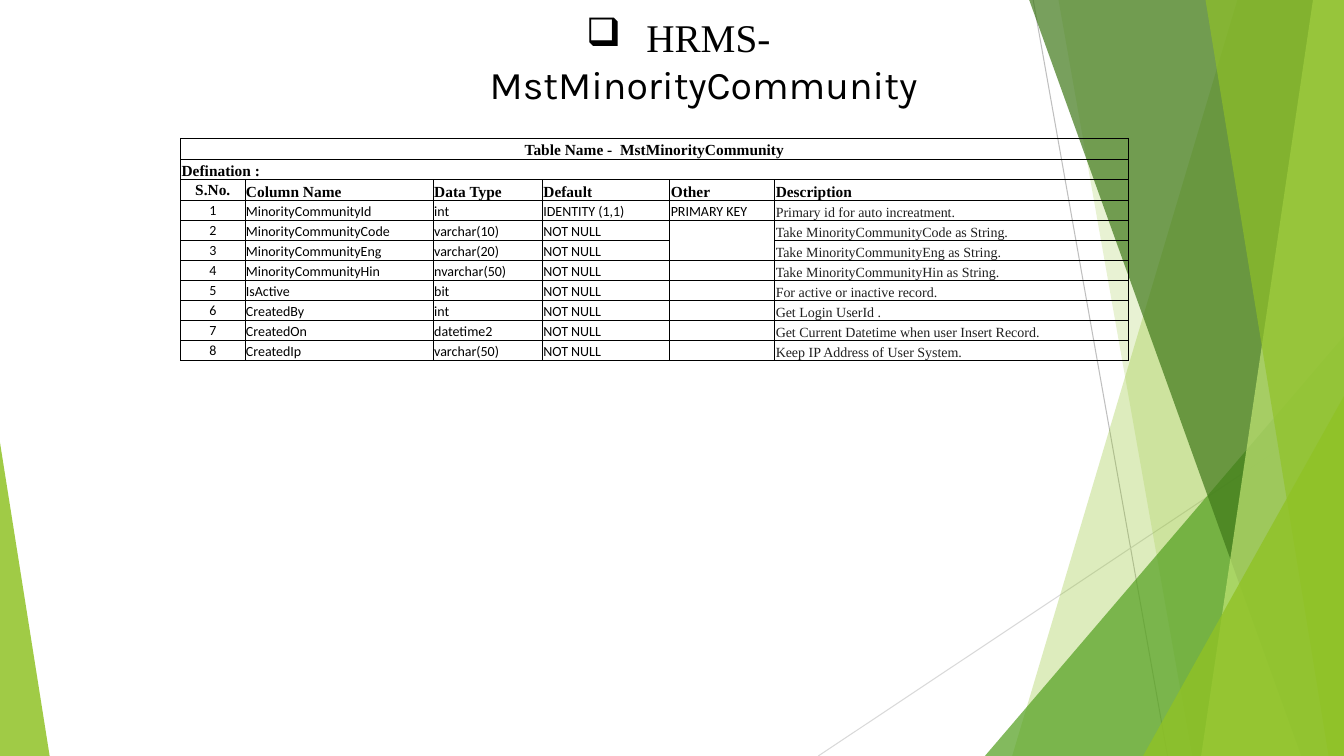
from pptx import Presentation
from pptx.dml.color import RGBColor
from pptx.enum.shapes import MSO_CONNECTOR, MSO_SHAPE
from pptx.enum.text import MSO_ANCHOR, MSO_AUTO_SIZE, PP_ALIGN
from pptx.oxml import parse_xml
from pptx.oxml.ns import nsdecls, qn
from pptx.oxml.xmlchemy import OxmlElement
from pptx.util import Pt

BLACK = RGBColor(0x00, 0x00, 0x00)
INK = RGBColor(0x1F, 0x1F, 0x1F)
GREY = RGBColor(0xBF, 0xBF, 0xBF)
PALE = RGBColor(0xD9, 0xD9, 0xD9)
LIME = RGBColor(0x90, 0xC2, 0x26)
LEAF = RGBColor(0x54, 0xA0, 0x21)
FOREST = RGBColor(0x3F, 0x78, 0x19)
MINT = RGBColor(0xC0, 0xE4, 0x74)

WIDE, HIGH = 960, 540
SERIF, SANS, TITLE = "Times New Roman", "Calibri", "Karla"

COLS = [46, 134.5, 78, 91, 75, 252.5]
HEADS = ["S.No.", "Column Name", "Data Type", "Default", "Other", "Description"]
FIELDS = [
    ("MinorityCommunityId", "int", "IDENTITY (1,1)", "PRIMARY KEY",
     "Primary id for auto increatment."),
    ("MinorityCommunityCode", "varchar(10)", "NOT NULL", "",
     "Take MinorityCommunityCode as String."),
    ("MinorityCommunityEng", "varchar(20)", "NOT NULL", "",
     "Take MinorityCommunityEng as String."),
    ("MinorityCommunityHin", "nvarchar(50)", "NOT NULL", "",
     "Take MinorityCommunityHin as String."),
    ("IsActive", "bit", "NOT NULL", "", "For active or inactive record."),
    ("CreatedBy", "int", "NOT NULL", "", "Get Login UserId ."),
    ("CreatedOn", "datetime2", "NOT NULL", "",
     "Get Current Datetime when user Insert Record."),
    ("CreatedIp", "varchar(50)", "NOT NULL", "", "Keep IP Address of User System."),
]
OPEN = {(4, 4, "B"), (5, 4, "T")}  # cell edges left without a line


def add_line(slide, start, end, color):
    ends = [Pt(v) for v in (*start, *end)]
    line = slide.shapes.add_connector(MSO_CONNECTOR.STRAIGHT, *ends)
    line.line.color.rgb = color
    line.line.width = Pt(0.75)
    line._element.spPr.append(OxmlElement("a:effectLst"))


def paint(shape, color, cover):
    """Fill a shape with a colour that covers the given percentage."""
    shape.shadow.inherit = False
    shape.fill.solid()
    shape.fill.fore_color.rgb = color
    shape.line.fill.background()
    alpha = OxmlElement("a:alpha")
    alpha.set("val", str(cover * 1000))
    shape._element.spPr.find(".//" + qn("a:srgbClr")).append(alpha)


def add_band(slide, top, foot, color, cover):
    """Draw a band from a slanted left edge to the right side of the slide."""
    pen = slide.shapes.build_freeform(Pt(top), Pt(-0.5))
    pen.add_line_segments([(Pt(WIDE), Pt(-0.5)), (Pt(WIDE), Pt(HIGH)),
                           (Pt(foot), Pt(HIGH))], close=True)
    paint(pen.convert_to_shape(), color, cover)


def add_wedge(slide, left, top, width, peak, color, cover):
    """Draw a triangle that stands on the foot of the slide."""
    wedge = slide.shapes.add_shape(MSO_SHAPE.ISOSCELES_TRIANGLE, Pt(left), Pt(top),
                                   Pt(width), Pt(HIGH - top))
    wedge.adjustments[0] = peak
    paint(wedge, color, cover)


def set_font(font, name, size, color, bold=False):
    font.name, font.size, font.bold = name, Pt(size), bold
    font.color.rgb = color


def add_title(slide):
    box = slide.shapes.add_textbox(Pt(116.5), Pt(6), Pt(592), Pt(41))
    frame = box.text_frame
    frame.word_wrap = True
    frame.auto_size = MSO_AUTO_SIZE.SHAPE_TO_FIT_TEXT
    para = frame.paragraphs[0]
    para.alignment = PP_ALIGN.CENTER
    para.level = 4
    props = para._p.get_or_add_pPr()
    props.set("marL", str(Pt(180)))
    props.set("indent", str(Pt(-36)))
    bullet = OxmlElement("a:buChar")
    bullet.set("char", "❑")
    props.append(bullet)
    for text, name in ((" HRMS- ", SERIF), ("MstMinorityCommunity", TITLE)):
        run = para.add_run()
        run.text = text
        set_font(run.font, name, 28, BLACK)


def add_edge(cell, side, shown):
    fill = f'<a:solidFill><a:srgbClr val="{BLACK}"/></a:solidFill>'
    if not shown:
        fill = "<a:noFill/>"
    cell._tc.get_or_add_tcPr().append(parse_xml(
        f'<a:ln{side} {nsdecls("a")} w="{Pt(0.5)}">{fill}</a:ln{side}>'))


def fill_cell(cell, text, row, col):
    head, count = row < 3, col == 0 and row > 1
    cell.margin_left = cell.margin_right = cell.margin_top = Pt(0.72)
    cell.margin_bottom = 0
    cell.vertical_anchor = MSO_ANCHOR.MIDDLE if count else MSO_ANCHOR.BOTTOM
    for side in "LRTB":
        add_edge(cell, side, (row, col, side) not in OPEN)
    cell.fill.background()
    para = cell.text_frame.paragraphs[0]
    para.alignment = PP_ALIGN.CENTER if count or row == 0 else PP_ALIGN.LEFT
    if not text:
        # A small end mark keeps an empty cell from stretching its row
        mark = OxmlElement("a:endParaRPr")
        mark.set("sz", "1000")
        para._p.append(mark)
        return
    para.text = text
    note = col == 5 and not head
    set_font(para.runs[0].font, SERIF if head or note else SANS,
             11 if head else 10, INK if note else BLACK, head)


def add_grid(slide):
    blank = [""] * (len(COLS) - 1)
    rows = [["Table Name -  MstMinorityCommunity", *blank],
            ["Defination :", *blank], HEADS]
    rows += [[str(num), *field] for num, field in enumerate(FIELDS, 1)]
    tall = [15, 14.4, 15] + [14.3] * len(FIELDS)
    table = slide.shapes.add_table(len(rows), len(COLS), Pt(129), Pt(98.75),
                                   Pt(sum(COLS)), Pt(sum(tall))).table
    table.first_row = table.horz_banding = False
    for column, width in zip(table.columns, COLS):
        column.width = Pt(width)
    for r, texts in enumerate(rows):
        table.rows[r].height = Pt(tall[r])
        for c, text in enumerate(texts):
            fill_cell(table.cell(r, c), text, r, c)
    for r in (0, 1):
        table.cell(r, 0).merge(table.cell(r, len(COLS) - 1))


def main():
    deck = Presentation()
    deck.slide_width, deck.slide_height = Pt(WIDE), Pt(HIGH)
    slide = deck.slides.add_slide(deck.slide_layouts[6])

    # Thin lines and green facets, from back to front
    add_line(slide, (738, 0), (834, HIGH), GREY)
    add_line(slide, (WIDE, 290), (584.5, HIGH), PALE)
    add_band(slide, 884, 723, LIME, 30)
    add_band(slide, 756, 851.5, LIME, 20)
    add_wedge(slide, 703.5, 240, 256.5, 1, LEAF, 72)
    add_band(slide, 735, 929.5, FOREST, 70)
    add_band(slide, 938, 858, MINT, 70)
    add_band(slide, 861, 949, LIME, 65)
    add_wedge(slide, 816.5, 283, 143.5, 1, LIME, 80)
    add_wedge(slide, 0, 316, 35.5, 0, LIME, 85)

    # Heading and column definitions
    add_title(slide)
    add_grid(slide)
    deck.save("out.pptx")


if __name__ == "__main__":
    main()
